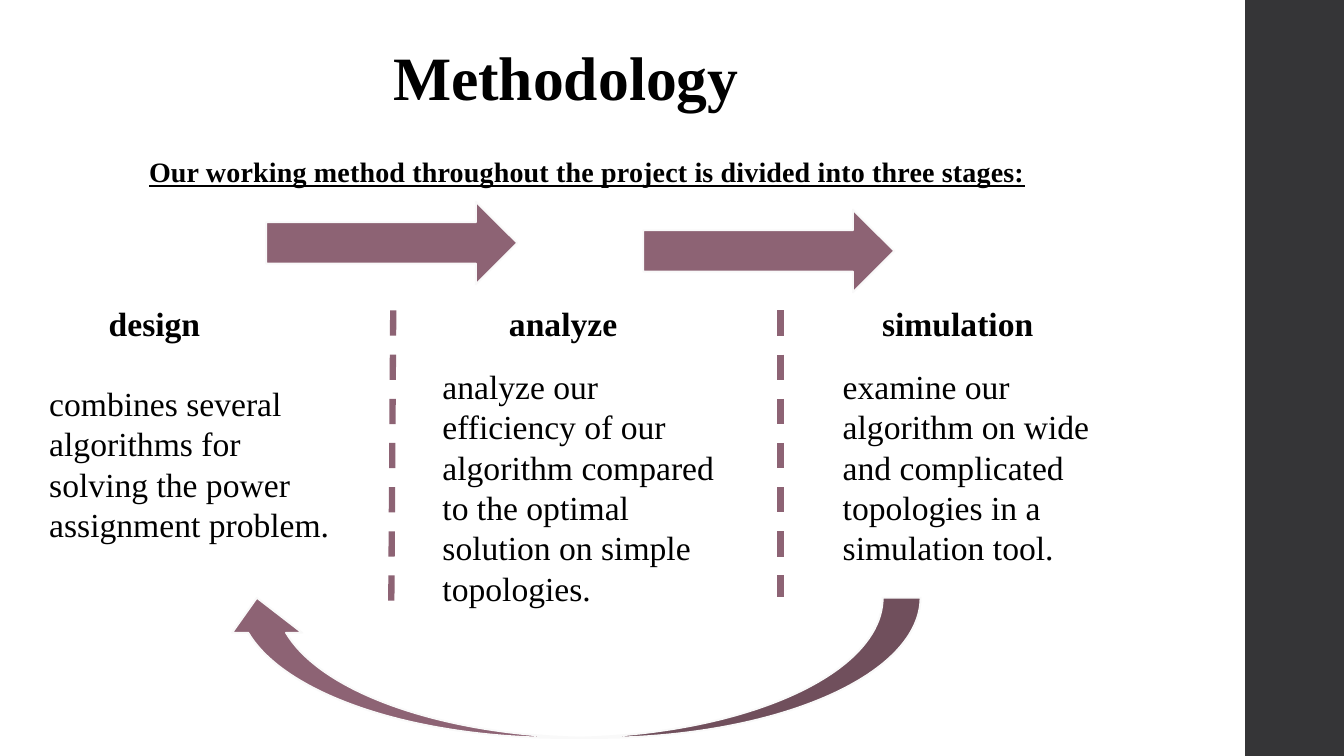
from pptx import Presentation
from pptx.dml.color import RGBColor
from pptx.enum.dml import MSO_LINE
from pptx.enum.shapes import MSO_CONNECTOR, MSO_SHAPE
from pptx.enum.text import MSO_ANCHOR
from pptx.oxml.ns import qn
from pptx.util import Inches, Pt
from lxml import etree

FONT = "Times New Roman"
BLACK, MAUVE, PALE, CHARCOAL = "000000", "8D6374", "F9F9F9", "353537"


def color(value):
    return RGBColor.from_string(value)


def write(box, text, size=24, bold=False, underline=False, line_spacing=1.0,
          tracking=None, anchor=MSO_ANCHOR.TOP):
    """Fill a box with one formatted paragraph; tracking is in points."""
    frame = box.text_frame
    frame.word_wrap = True
    frame.vertical_anchor = anchor
    para = frame.paragraphs[0]
    para.line_spacing = line_spacing
    span = para.add_run()
    span.text = text
    font = span.font
    font.name, font.size = FONT, Pt(size)
    font.bold, font.underline = bold, underline
    font.color.rgb = color(BLACK)
    if tracking:
        span._r.get_or_add_rPr().set("spc", str(round(tracking * 100)))


class SlideBuilder:
    def __init__(self, page):
        self.page = page

    def text(self, left, top, width, height, text, **style):
        box = self.page.shapes.add_textbox(
            Inches(left), Inches(top), Inches(width), Inches(height))
        write(box, text, **style)

    def shape(self, kind, left, top, width, height, fill, outline=None,
              rotation=0, adjustments=()):
        shape = self.page.shapes.add_shape(
            kind, Inches(left), Inches(top), Inches(width), Inches(height))
        shape.shadow.inherit = False
        shape.rotation = rotation
        for index, value in enumerate(adjustments):
            shape.adjustments[index] = value
        shape.fill.solid()
        shape.fill.fore_color.rgb = color(fill)
        if outline:
            shape.line.color.rgb = color(outline)
            shape.line.width = Pt(1.35)
        else:
            shape.line.fill.background()

    def divider(self, x1, y1, x2, y2):
        line = self.page.shapes.add_connector(
            MSO_CONNECTOR.STRAIGHT, Inches(x1), Inches(y1), Inches(x2), Inches(y2))
        line.line.color.rgb = color(MAUVE)
        line.line.width = Pt(4.5)
        line.line.dash_style = MSO_LINE.DASH
        etree.SubElement(line._element.spPr, qn("a:effectLst"))


def main():
    deck = Presentation()
    deck.slide_width, deck.slide_height = Inches(13.33), Inches(7.5)
    builder = SlideBuilder(deck.slides.add_slide(deck.slide_layouts[6]))

    builder.shape(MSO_SHAPE.RECTANGLE, 12.35, 0, 0.98, 7.5, CHARCOAL)
    builder.text(3.8, 0.34, 3.74, 0.84, "Methodology", size=44, bold=True,
                 line_spacing=0.9, anchor=MSO_ANCHOR.BOTTOM)
    builder.text(1.38, 1.51, 9.4, 0.5,
                 "Our working method throughout the project is divided into three stages:",
                 size=20, bold=True, underline=True, line_spacing=0.95, tracking=0.1)

    builder.divider(3.9, 3.08, 3.88, 6.11)
    builder.divider(7.74, 3.08, 7.74, 5.92)

    # name, its left and width, then description, its left, top, width and height
    stages = [
        ("design", 0.98, 1.79,
         "combines several algorithms for solving the power assignment problem.",
         0.39, 3.75, 3.14, 1.72),
        ("analyze", 4.95, 1.43,
         "analyze our efficiency of our algorithm compared to the optimal "
         "solution on simple topologies.",
         4.29, 3.58, 3.07, 2.52),
        ("simulation", 8.65, 3.31,
         "examine our algorithm on wide and complicated topologies in a "
         "simulation tool.",
         8.26, 3.58, 2.72, 2.12),
    ]
    for name, name_left, name_width, description, left, top, width, height in stages:
        builder.text(name_left, 2.96, name_width, 0.5, name, bold=True)
        builder.text(left, top, width, height, description)

    for left, top in [(2.64, 2), (6.38, 2.08)]:
        builder.shape(MSO_SHAPE.RIGHT_ARROW, left, top, 2.49, 0.82, MAUVE, PALE)
    builder.shape(MSO_SHAPE.CURVED_LEFT_ARROW, 4.97, 3.16, 1.39, 6.93, MAUVE, PALE,
                  rotation=90, adjustments=(0.27, 0.5, 0.25))

    deck.save("out.pptx")


if __name__ == "__main__":
    main()
